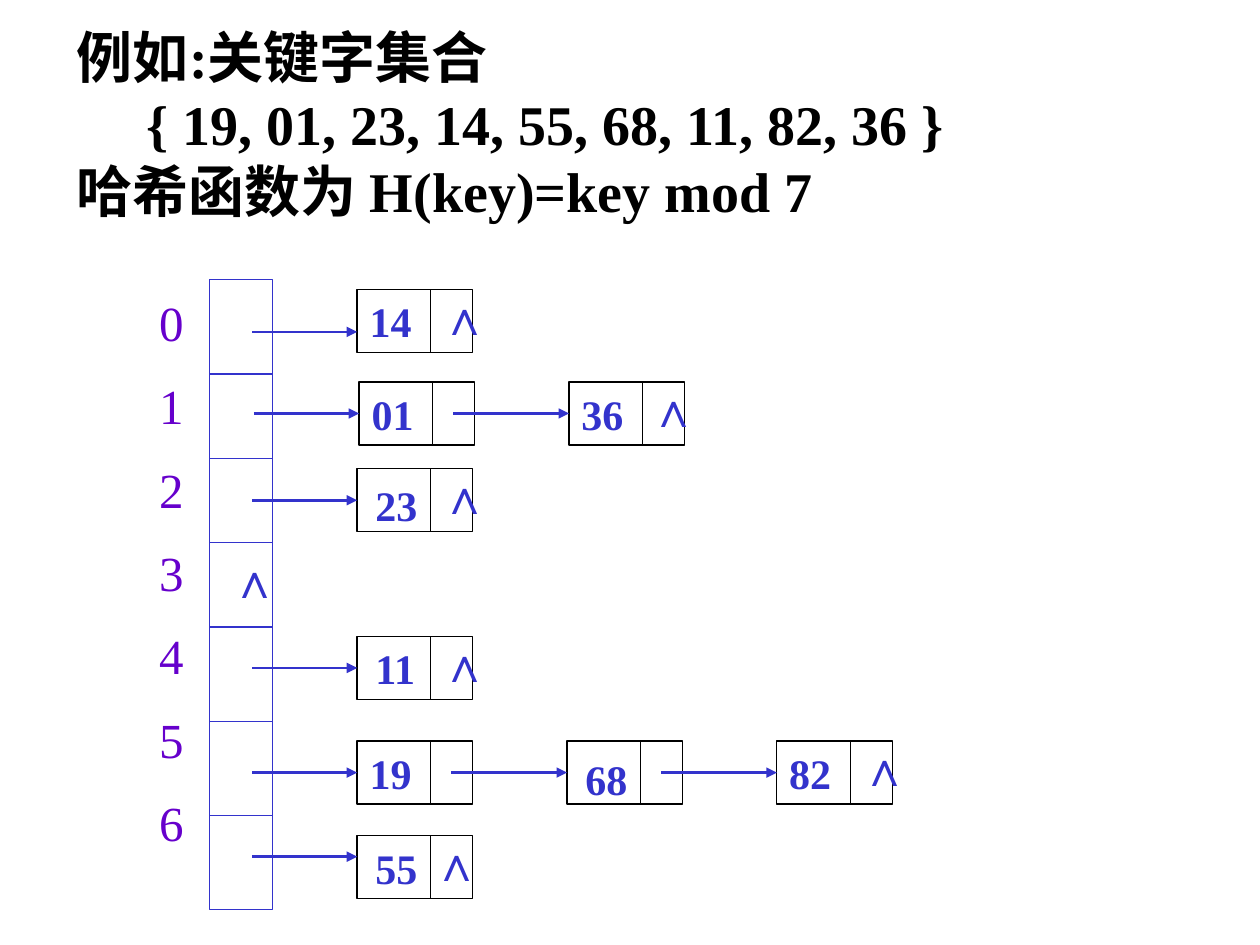
from dataclasses import dataclass
from itertools import accumulate

from lxml.etree import SubElement
from pptx import Presentation
from pptx.dml.color import RGBColor
from pptx.enum.shapes import MSO_CONNECTOR as Connector, MSO_SHAPE as Shape
from pptx.enum.text import MSO_ANCHOR as Anchor, MSO_AUTO_SIZE as AutoSize, PP_ALIGN as Align
from pptx.oxml.ns import qn
from pptx.util import Cm, Pt

NIL = "∧"
TABLE_LEFT, TABLE_TOP, TABLE_WIDTH = 4.23, 5.64, 1.27
BUCKET_HEIGHTS = (1.9, 1.7, 1.7, 1.7, 1.9, 1.9, 1.9)
NODE_WIDTH, NODE_HEIGHT, NODE_PITCH = 2.33, 1.27, 4.23
NODE_DIVIDER, NODE_MIDDLE = 1.48, NODE_HEIGHT / 2
HEAD_ARROW, NEXT_ARROW = 2.12, 2.33
NIL_RISE = 0.19


@dataclass(frozen=True)
class Theme:
    font: str = "Times New Roman"
    black: RGBColor = RGBColor(0x00, 0x00, 0x00)
    blue: RGBColor = RGBColor(0x33, 0x33, 0xCC)
    purple: RGBColor = RGBColor(0x66, 0x00, 0xCC)
    title_size: int = 32
    index_size: int = 28
    nil_size: int = 28
    key_size: int = 24
    thin: float = 0.75
    arrow: float = 1.5


@dataclass(frozen=True)
class Node:
    key: str
    label_drop: float | None = None


@dataclass(frozen=True)
class Chain:
    top: float
    nodes: tuple
    left: float = 7.2
    arrow_drop: float = NODE_MIDDLE
    nil_shift: float = 1.44


THEME = Theme()
CHAINS = (
    Chain(5.84, (Node("14"),), arrow_drop=0.85),
    Chain(7.7, (Node("01"), Node("36")), left=7.24, nil_shift=1.38),
    Chain(9.45, (Node("23", 0.1),)),
    Chain(12.83, (Node("11", 0),)),
    Chain(14.94, (Node("19"), Node("68", 0.13), Node("82"))),
    Chain(16.85, (Node("55", 0),), arrow_drop=0.42, nil_shift=1.27),
)


def write(frame, lines, size, color, bold=True, space_before=0):
    frame.text = "\n".join(lines)
    for paragraph in frame.paragraphs:
        paragraph.alignment = Align.LEFT
        paragraph.space_before = Pt(space_before)
        font = paragraph.font
        font.name = THEME.font
        font.size = Pt(size)
        font.bold = bold
        font.color.rgb = color


def add_label(slide, lines, left, top, width, height, size, color, wrap=False, **style):
    frame = slide.shapes.add_textbox(Cm(left), Cm(top), Cm(width), Cm(height)).text_frame
    write(frame, lines, size, color, **style)
    frame.word_wrap = wrap
    frame.auto_size = AutoSize.SHAPE_TO_FIT_TEXT
    return frame


def add_box(slide, left, top, width, height, color):
    box = slide.shapes.add_shape(Shape.RECTANGLE, Cm(left), Cm(top), Cm(width), Cm(height))
    box.shadow.inherit = False
    box.fill.background()
    box.line.color.rgb = color
    box.line.width = Pt(THEME.thin)
    return box


def add_line(slide, start, end, color, width=THEME.thin):
    line = slide.shapes.add_connector(Connector.STRAIGHT, *map(Cm, start + end))
    line.line.color.rgb = color
    line.line.width = Pt(width)
    SubElement(line._element.spPr, qn("a:effectLst"))
    return line


def add_arrow(slide, left, right, y):
    arrow = add_line(slide, (left, y), (right, y), THEME.blue, THEME.arrow)
    SubElement(arrow.line._get_or_add_ln(), qn("a:tailEnd"), type="triangle")
    return arrow


def add_nil(slide, left, top):
    add_label(slide, [NIL], left, top, 1.12, 1.45, THEME.nil_size, THEME.blue)


def add_node(slide, node, left, top):
    box = add_box(slide, left, top, NODE_WIDTH, NODE_HEIGHT, THEME.black)
    divider = left + NODE_DIVIDER
    add_line(slide, (divider, top), (divider, top + NODE_HEIGHT), THEME.black)
    if node.label_drop is None:
        write(box.text_frame, [node.key], THEME.key_size, THEME.blue)
        box.text_frame.word_wrap = False
        box.text_frame.vertical_anchor = Anchor.MIDDLE
    else:
        add_label(slide, [node.key], left + 0.12, top + node.label_drop, 1.4, 1.27,
                  THEME.key_size, THEME.blue)
    return box


def add_chain(slide, chain):
    for position, node in enumerate(chain.nodes):
        left = chain.left + position * NODE_PITCH
        box = add_node(slide, node, left, chain.top)
        reach = NEXT_ARROW if position else HEAD_ARROW
        arrow = add_arrow(slide, left - reach, left, chain.top + chain.arrow_drop)
        if chain.arrow_drop == NODE_MIDDLE:
            arrow.end_connect(box, 1)
    add_nil(slide, left + chain.nil_shift, chain.top - NIL_RISE)


def add_bucket_table(slide):
    add_box(slide, TABLE_LEFT, TABLE_TOP, TABLE_WIDTH, sum(BUCKET_HEIGHTS), THEME.blue)
    for drop in accumulate(BUCKET_HEIGHTS[:-1]):
        y = TABLE_TOP + drop
        add_line(slide, (TABLE_LEFT, y), (TABLE_LEFT + TABLE_WIDTH, y), THEME.blue)
    indices = [str(index) for index in range(len(BUCKET_HEIGHTS))]
    add_label(slide, indices, 2.96, 5.77, 1.48, 12.14, THEME.index_size, THEME.purple,
              wrap=True, bold=False, space_before=14)
    add_nil(slide, 4.4, 10.95)


def add_problem(slide):
    lines = ["例如:关键字集合",
             "{ 19, 01, 23, 14, 55, 68, 11, 82, 36 }",
             "哈希函数为 H(key)=key mod 7"]
    frame = add_label(slide, lines, 1.3, 0.33, 22.8, 4.32, THEME.title_size, THEME.black,
                      wrap=True)
    key_set = frame.paragraphs[1]
    key_set._p.get_or_add_pPr().set("marL", str(Cm(1.4)))


def main():
    deck = Presentation()
    deck.slide_width, deck.slide_height = Cm(25.4), Cm(19.05)
    slide = deck.slides.add_slide(deck.slide_layouts[6])
    add_bucket_table(slide)
    for chain in CHAINS:
        add_chain(slide, chain)
    add_problem(slide)
    deck.save("out.pptx")


if __name__ == "__main__":
    main()
